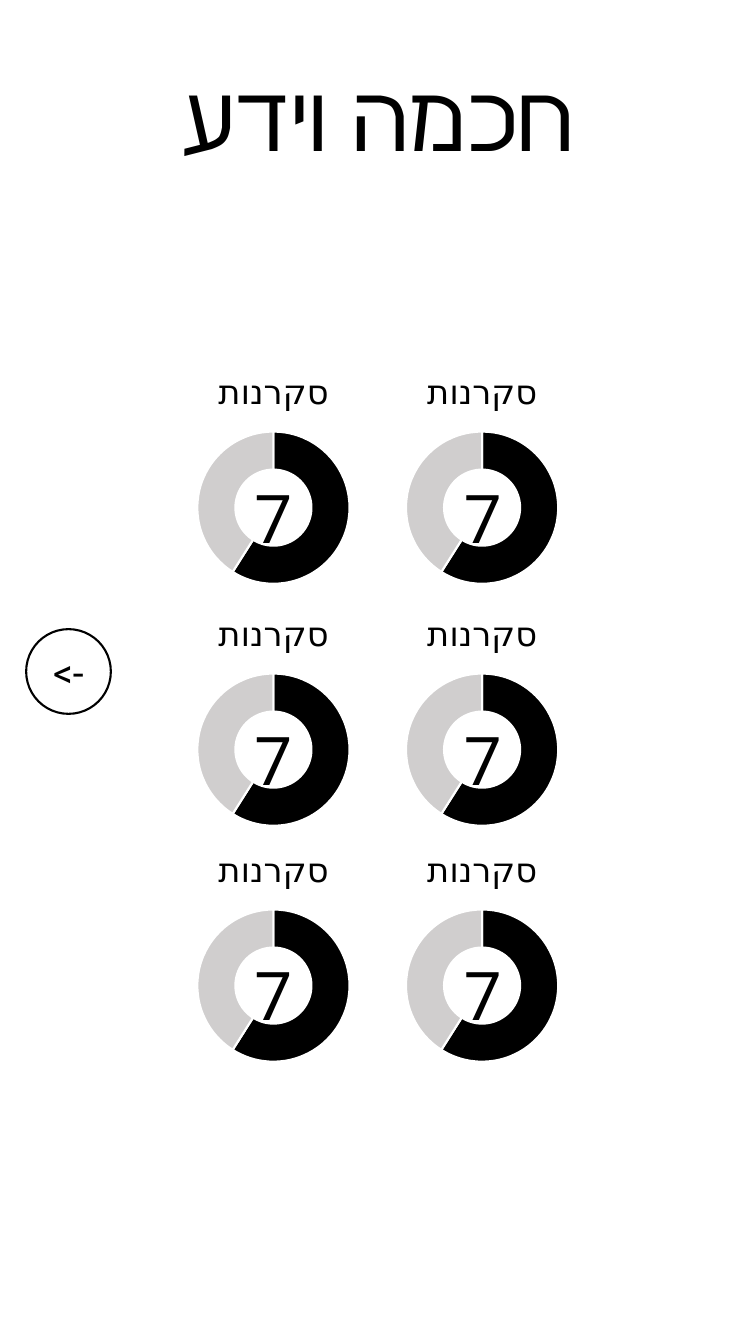
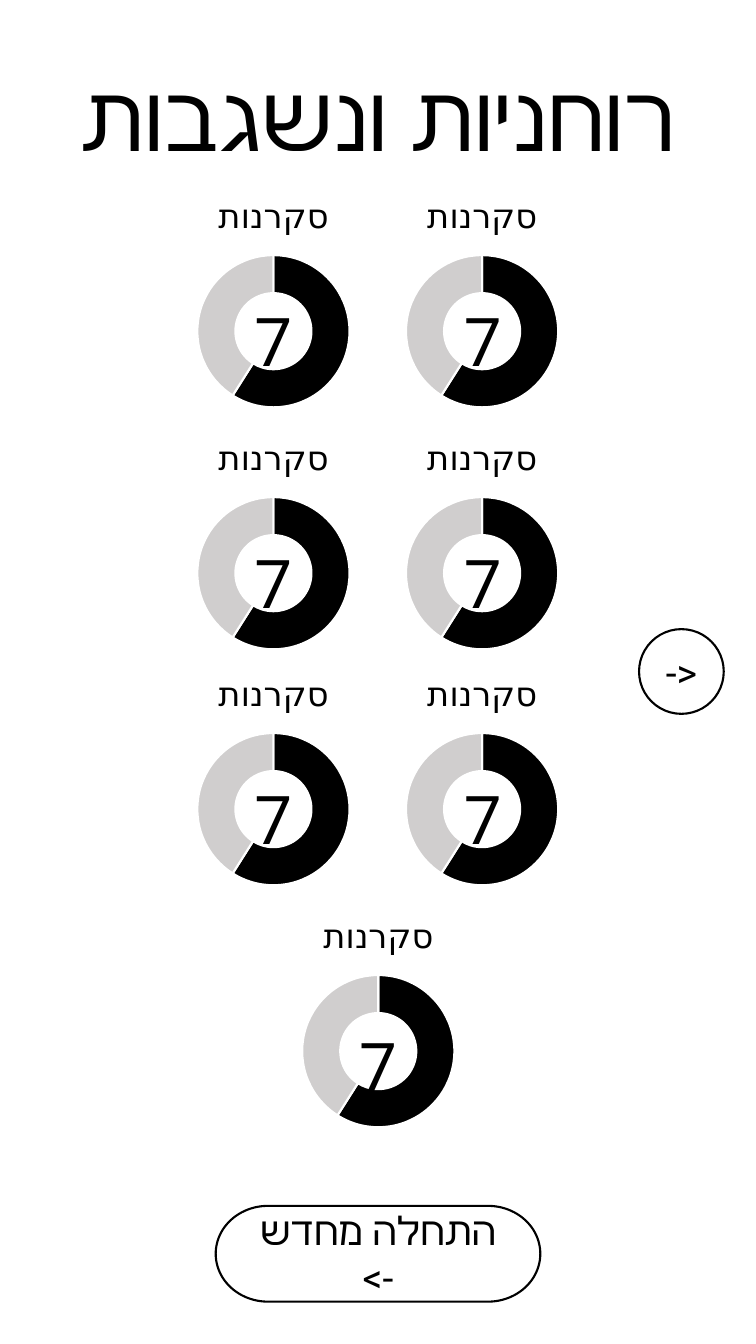
from lxml import etree
from pptx import Presentation
from pptx.chart.data import CategoryChartData
from pptx.dml.color import RGBColor
from pptx.enum.chart import XL_CHART_TYPE
from pptx.enum.shapes import MSO_SHAPE
from pptx.enum.text import MSO_ANCHOR, MSO_AUTO_SIZE, PP_ALIGN
from pptx.oxml import parse_xml
from pptx.oxml.ns import nsdecls, qn
from pptx.util import Inches, Pt

RING = XL_CHART_TYPE.DOUGHNUT
ROUND = MSO_SHAPE.OVAL
PILL = MSO_SHAPE.FLOWCHART_TERMINATOR
MIDDLE = MSO_ANCHOR.MIDDLE
GROW = MSO_AUTO_SIZE.SHAPE_TO_FIT_TEXT
CENTER = PP_ALIGN.CENTER

INK = {"black": "000000", "gray": "D0CECE", "white": "FFFFFF"}
FONT = "Roboto"
WIDE, HIGH = 7.5, 13.33
RING_W, RING_H = 3.71, 2.44
HOLE_W, HOLE_H = 0.66, 0.91
LEFT, STEP = 0.86, 2.07
ROWS = [0, 2.4, 4.74, 7.14]
DISC = 0.84
SPAN = 1.51
PLOT = {
    "x": (RING_W - SPAN) / 2 / RING_W,
    "y": 0.32,
    "w": SPAN / RING_W,
    "h": SPAN / RING_H,
}


def write(text, frame, size, color="black", font=FONT):
    para = frame.paragraphs[0]
    para.alignment = CENTER
    para._p.get_or_add_pPr().set("rtl", "1")
    run = para.add_run()
    run.text = text
    run.font.size = Pt(size)
    run.font.bold = False
    run.font.color.rgb = RGBColor.from_string(INK[color])
    run.font.name = font
    etree.SubElement(run._r.get_or_add_rPr(), qn("a:cs"), typeface=font)


def place(left, top, width, height):
    return [Inches(round(n, 2)) for n in (left, top, width, height)]


pages = [
    {
        "title": "חכמה וידע",
        "top": 3.5,
        "cells": [(row, col) for row in range(3) for col in (1, 0)],
        "keys": [(ROUND, "->", (0.26, 6.24, DISC, DISC))],
    },
    {
        "title": "רוחניות ונשגבות",
        "top": 1.75,
        "cells": [(row, col) for row in range(3) for col in (1, 0)] + [(3, 0.5)],
        "keys": [
            (ROUND, "<-", (6.34, 6.24, DISC, DISC)),
            (PILL, "התחלה מחדש ->", (2.14, 11.96, 3.22, 0.95)),
        ],
    },
]

data = CategoryChartData()
data.categories = ["1", "2"]
data.add_series("Series 1", (59, 41))

deck = Presentation()
deck.slide_width = Inches(WIDE)
deck.slide_height = Inches(HIGH)

for page in pages:
    shapes = deck.slides.add_slide(deck.slide_layouts[6]).shapes

    title = shapes.add_textbox(*place(0, 0.54, WIDE, 1.21)).text_frame
    title.word_wrap = True
    title.auto_size = GROW
    write(page["title"], title, size=66)

    for row, col in page["cells"]:
        left = LEFT + col * STEP
        top = page["top"] + ROWS[row]
        group = shapes.add_group_shape().shapes

        spot = place(left, top, RING_W, RING_H)
        chart = group.add_chart(RING, *spot, data).chart
        chart.has_legend = False
        chart.font.size = Pt(10)
        chart.font.name = "Calibri"
        chart.font.color.rgb = RGBColor.from_string(INK["black"])
        chart.has_title = True
        chart.chart_title.include_in_layout = False
        write("סקרנות", chart.chart_title.text_frame, size=24)

        plot = chart.plots[0]
        plot.has_data_labels = False
        for index, color in enumerate(("black", "gray")):
            look = plot.series[0].points[index].format
            look.fill.solid()
            look.fill.fore_color.rgb = RGBColor.from_string(INK[color])
            look.line.color.rgb = RGBColor.from_string(INK["white"])
            look.line.width = Pt(1.5)

        area = chart._chartSpace.find(".//" + qn("c:plotArea"))
        for hole in area.iter(qn("c:holeSize")):
            hole.set("val", "75")
        for old in area.findall(qn("c:layout")):
            area.remove(old)
        sides = "".join(f'<c:{key} val="{val:.3f}"/>' for key, val in PLOT.items())
        area.insert(0, parse_xml(
            f'<c:layout {nsdecls("c")}><c:manualLayout>'
            '<c:layoutTarget val="inner"/>'
            '<c:xMode val="edge"/><c:yMode val="edge"/>'
            f'{sides}</c:manualLayout></c:layout>'
        ))

        drop = 1.22 if row == 3 else 1.17
        spot = place(left + (RING_W - HOLE_W) / 2, top + drop, HOLE_W, HOLE_H)
        score = group.add_textbox(*spot).text_frame
        score.word_wrap = True
        score.auto_size = GROW
        write("7", score, size=48)

    for form, text, spot in page["keys"]:
        key = shapes.add_shape(form, *place(*spot))
        key.shadow.inherit = False
        key.fill.background()
        key.line.color.rgb = RGBColor.from_string(INK["black"])
        key.line.width = Pt(1.5)
        key.text_frame.word_wrap = True
        key.text_frame.vertical_anchor = MIDDLE
        write(text, key.text_frame, size=28)

deck.save("out.pptx")
